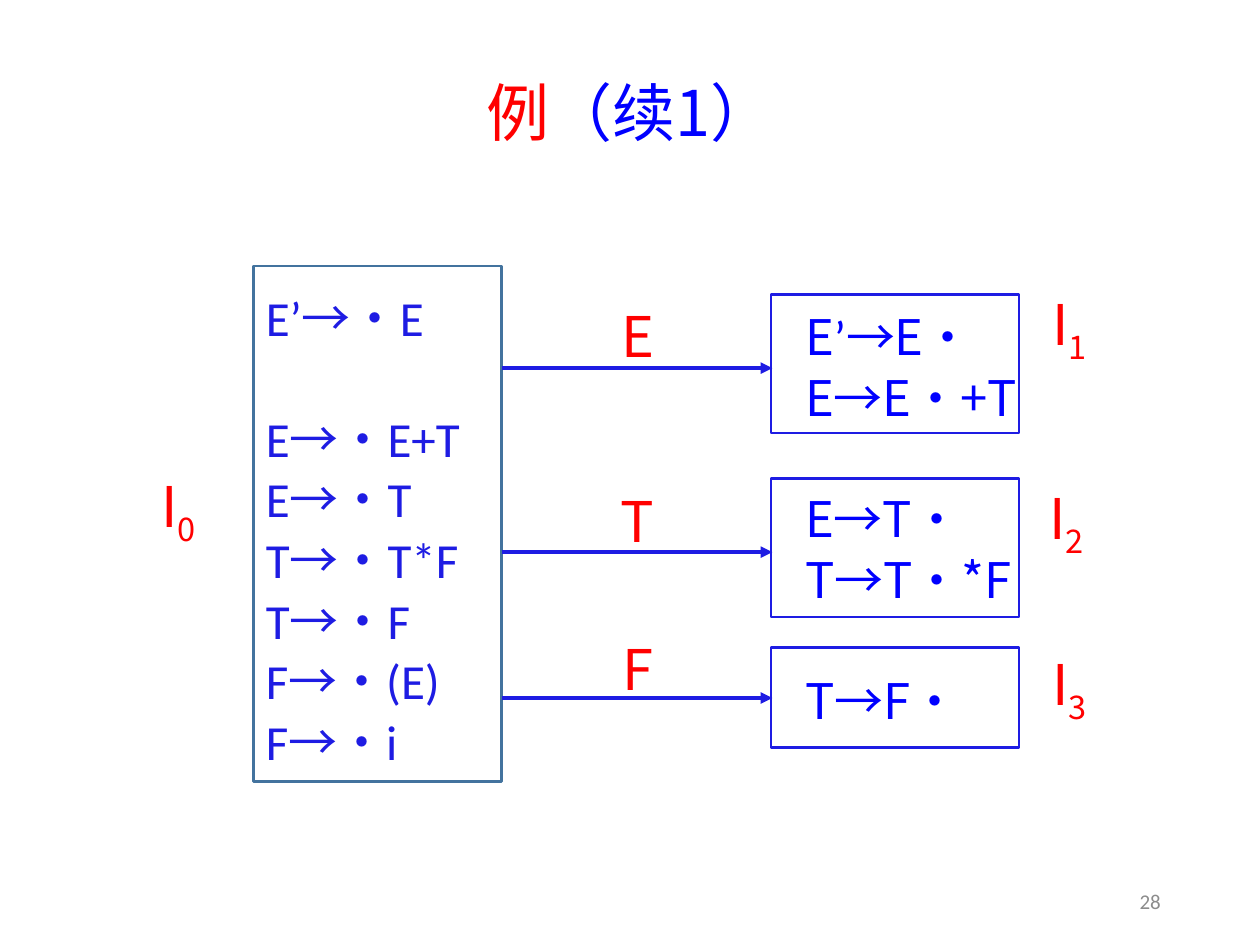
from itertools import groupby

from lxml.etree import SubElement
from pptx import Presentation
from pptx.dml.color import RGBColor
from pptx.enum.shapes import MSO_CONNECTOR, MSO_SHAPE
from pptx.enum.text import MSO_ANCHOR, PP_ALIGN
from pptx.oxml.ns import qn
from pptx.util import Cm, Pt


class Theme:
    red, blue, ink = "FF0000", "0000FF", "1E1CE3"
    steel, grey = "43739E", "8C8C8C"
    latin, cjk, heading = "Calibri", "Noto Sans CJK SC", "Noto Sans CJK JP"
    title_size, label_size, item_size, number_size = 36, 32, 28, 12
    leading, gap_after = 1.2, 1


class SlideBuilder:
    def __init__(self, slide, theme):
        self.slide = slide
        self.theme = theme

    def style(self, run, size, color, font, baseline=None):
        run.font.size = Pt(size)
        run.font.name = font
        run.font.color.rgb = RGBColor.from_string(color)
        properties = run.font._element
        SubElement(properties, qn("a:ea")).set("typeface", font)
        if baseline:
            properties.set("baseline", str(baseline))

    def space(self, paragraph, size, gap_lines=0):
        pitch = size * self.theme.leading
        paragraph.line_spacing = Pt(pitch)
        paragraph.space_after = Pt(self.theme.gap_after)
        paragraph.space_before = Pt(gap_lines * (pitch + self.theme.gap_after))

    def text(self, left, top, width, height, parts, size,
             align=PP_ALIGN.LEFT, anchor=MSO_ANCHOR.TOP):
        """Parts are (text, color, font, baseline) runs of one paragraph."""
        frame = self.slide.shapes.add_textbox(
            Cm(left), Cm(top), Cm(width), Cm(height)).text_frame
        frame.word_wrap = True
        frame.vertical_anchor = anchor
        paragraph = frame.paragraphs[0]
        paragraph.alignment = align
        for words, color, font, baseline in parts:
            run = paragraph.add_run()
            run.text = words
            self.style(run, size, color, font, baseline)
        return frame

    def label(self, left, top, width, symbol, index="", align=PP_ALIGN.LEFT):
        theme = self.theme
        parts = [(symbol, theme.red, theme.cjk, None)]
        if index:
            parts.append((index, theme.red, theme.cjk, -25000))
        frame = self.text(left, top, width, 2.0, parts, theme.label_size, align)
        frame.margin_top = Cm(0.2)
        self.space(frame.paragraphs[0], theme.label_size)

    def box(self, left, top, width, height, color):
        box = self.slide.shapes.add_shape(
            MSO_SHAPE.RECTANGLE, Cm(left), Cm(top), Cm(width), Cm(height))
        box.shadow.inherit = False
        box.fill.background()
        box.line.color.rgb = RGBColor.from_string(color)
        box.line.width = Pt(1.5)
        return box

    def productions(self, frame, items, color, latin_chars):
        """Items are (production, blank lines above it)."""
        theme = self.theme
        frame.word_wrap = True
        for number, (production, gap_lines) in enumerate(items):
            paragraph = frame.paragraphs[0] if number == 0 else frame.add_paragraph()
            paragraph.alignment = PP_ALIGN.LEFT
            self.space(paragraph, theme.item_size, gap_lines)
            for is_latin, chars in groupby(production, lambda c: c in latin_chars):
                run = paragraph.add_run()
                run.text = "".join(chars)
                self.style(run, theme.item_size, color,
                           theme.latin if is_latin else theme.cjk)

    def arrow(self, start, end, y):
        arrow = self.slide.shapes.add_connector(
            MSO_CONNECTOR.STRAIGHT, Cm(start), Cm(y), Cm(end), Cm(y))
        arrow.line.color.rgb = RGBColor.from_string(self.theme.ink)
        arrow.line.width = Pt(2.25)
        SubElement(arrow.line._get_or_add_ln(), qn("a:tailEnd")).set("type", "triangle")
        SubElement(arrow._element.spPr, qn("a:effectLst"))


def main():
    presentation = Presentation()
    presentation.slide_width, presentation.slide_height = Cm(25.4), Cm(19.05)
    theme = Theme()
    builder = SlideBuilder(
        presentation.slides.add_slide(presentation.slide_layouts[6]), theme)

    # Title and page number
    heading = builder.text(
        1.75, 1.02, 21.89, 2.64,
        [("例", theme.red, theme.heading, None),
         ("（续1）", theme.blue, theme.heading, None)],
        theme.title_size, PP_ALIGN.CENTER, MSO_ANCHOR.MIDDLE)
    heading.paragraphs[0].line_spacing = 0.9
    builder.text(17.93, 17.65, 5.72, 1.02,
                 [("28", theme.grey, theme.latin, None)],
                 theme.number_size, PP_ALIGN.RIGHT, MSO_ANCHOR.MIDDLE)

    # Start state
    start_state = builder.box(5.11, 5.36, 5.0, 10.39, theme.steel).text_frame
    start_state.vertical_anchor = MSO_ANCHOR.MIDDLE
    start_state.margin_top = Cm(0.33)
    builder.productions(
        start_state,
        [("E’→·E", 0), ("E→·E+T", 1), ("E→·T", 0), ("T→·T*F", 0),
         ("T→·F", 0), ("F→·(E)", 0), ("F→·i", 0)],
        theme.ink, "ETFi’+*()")
    builder.label(3.0, 9.5, 1.93, "I", "0")

    # Next states: symbol, its top, arrow y, box top, box height, label left and top
    transitions = [
        ("E", 5.87, 7.42, 5.94, 2.79, 20.96, 5.82),
        ("T", 9.6, 11.13, 9.65, 2.79, 20.9, 9.73),
        ("F", 12.6, 14.07, 13.06, 2.01, 20.96, 13.08),
    ]
    for index, (symbol, symbol_top, arrow_y, box_top, box_height,
                label_left, label_top) in enumerate(transitions, 1):
        builder.box(15.54, box_top, 5.0, box_height, theme.ink)
        builder.arrow(10.11, 15.57, arrow_y)
        builder.label(12.17, symbol_top, 1.37, symbol, align=PP_ALIGN.CENTER)
        builder.label(label_left, label_top, 2.46, "I", str(index))

    # Productions of the next states
    next_items = builder.text(15.98, 5.99, 5.28, 10.92, [], theme.item_size)
    next_items.margin_top = Cm(0.2)
    builder.productions(
        next_items,
        [("E’→E·", 0), ("E→E·+T", 0), ("E→T·", 1), ("T→T·*F", 0), ("T→F·", 1)],
        theme.blue, "’")

    presentation.save("out.pptx")


if __name__ == "__main__":
    main()
